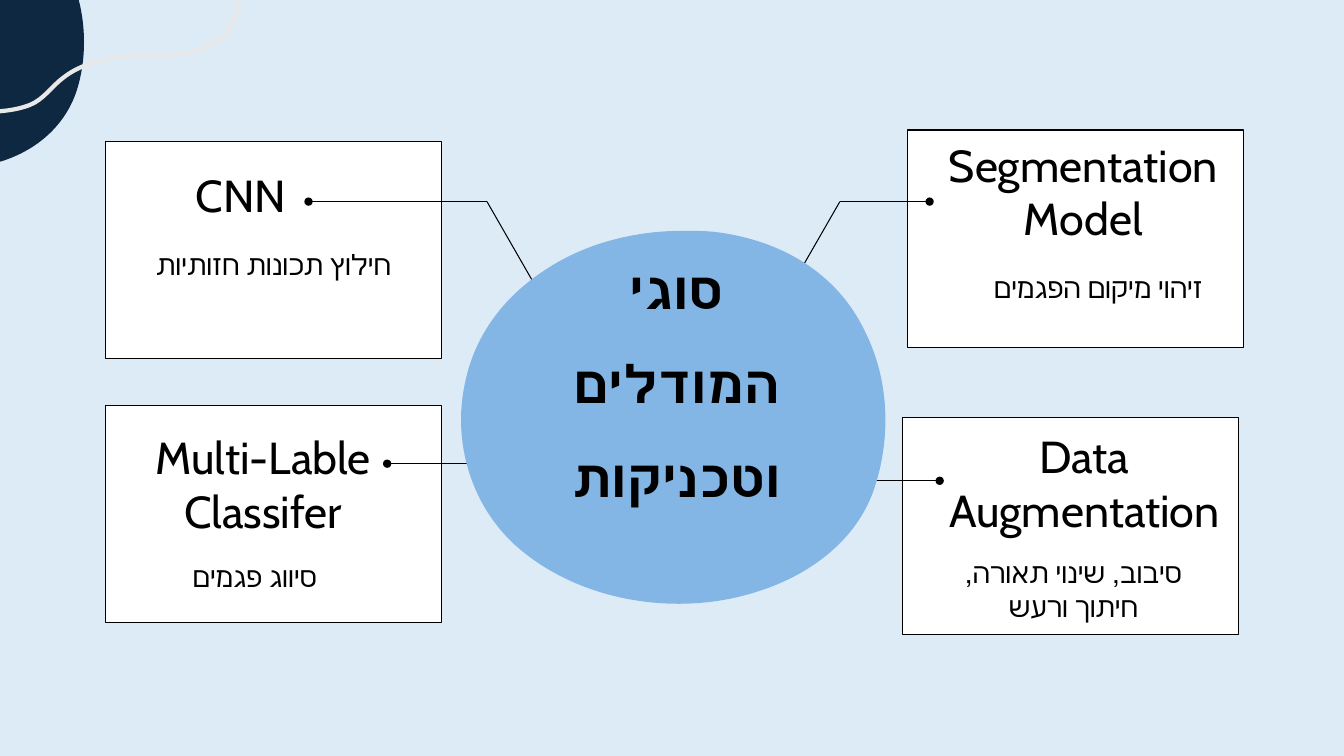
from dataclasses import dataclass

from lxml.etree import Element, SubElement
from pptx import Presentation
from pptx.dml.color import RGBColor
from pptx.enum.shapes import MSO_CONNECTOR, MSO_SHAPE
from pptx.enum.text import MSO_ANCHOR, MSO_AUTO_SIZE, PP_ALIGN
from pptx.oxml.ns import qn
from pptx.util import Emu, Pt

PX = 9144  # 100 px to the inch
CARD_W, CARD_H = 333, 216
INSET = 13
LEFT, CENTER, RIGHT = PP_ALIGN.LEFT, PP_ALIGN.CENTER, PP_ALIGN.RIGHT


@dataclass(frozen=True)
class Theme:
    font: str = "Cabin"
    background: str = "DDEBF7"
    navy: str = "0E2841"
    squiggle: str = "E8E8E8"
    hub: str = "83B6E5"
    card: str = "FFFFFF"
    ink: str = "000000"
    hub_pt: float = 37.3
    heading_pt: float = 32
    detail_pt: float = 20
    hairline_pt: float = 0.75
    squiggle_pt: float = 3


def rgb(value):
    return RGBColor.from_string(value)


def px(*lengths):
    return [Emu(n * PX) for n in lengths]


def bend(sp):
    """Turn each three line segments of a freeform into one cubic curve."""
    path = next(sp._element.iter(qn("a:path")))
    segments = path.findall(qn("a:lnTo"))
    for i in range(0, len(segments), 3):
        cubic = Element(qn("a:cubicBezTo"))
        segments[i].addprevious(cubic)
        for segment in segments[i:i + 3]:
            cubic.append(segment[0])
            path.remove(segment)


class SlideBuilder:
    def __init__(self, slide, theme):
        self.s, self.theme = slide, theme
        fill = slide.background.fill
        fill.solid()
        fill.fore_color.rgb = rgb(theme.background)

    def style(self, sp, fill=None, line=None, width=0):
        sp.shadow.inherit = False
        if fill:
            sp.fill.solid()
            sp.fill.fore_color.rgb = rgb(fill)
        else:
            sp.fill.background()
        if line:
            sp.line.color.rgb = rgb(line)
            sp.line.width = Pt(width)
        else:
            sp.line.fill.background()

    def curve(self, points, close=True, **look):
        """Draw a chain of cubic curves: a start point, then three points per curve."""
        start, *rest = points
        builder = self.s.shapes.build_freeform(*start, scale=PX)
        builder.add_line_segments(rest, close=close)
        sp = builder.convert_to_shape()
        bend(sp)
        self.style(sp, **look)

    def card(self, x, y):
        sp = self.s.shapes.add_shape(MSO_SHAPE.RECTANGLE, *px(x, y, CARD_W, CARD_H))
        self.style(sp, self.theme.card, self.theme.ink, self.theme.hairline_pt)

    def leader(self, *points):
        """Draw a thin line through the points, with a dot at the first."""
        for i, (start, end) in enumerate(zip(points, points[1:])):
            line = self.s.shapes.add_connector(MSO_CONNECTOR.STRAIGHT, *px(*start, *end))
            line.line.color.rgb = rgb(self.theme.ink)
            line.line.width = Pt(self.theme.hairline_pt)
            if i == 0:
                SubElement(line.line._get_or_add_ln(), qn("a:headEnd"), type="oval")
            SubElement(line._element.spPr, qn("a:effectLst"))

    def fill_text(self, sp, text, size, align, anchor, rtl=True, bold=False, spacing=None):
        tf = sp.text_frame
        tf.text = text
        tf.word_wrap = True
        tf.auto_size = MSO_AUTO_SIZE.NONE
        tf.vertical_anchor = anchor
        tf.margin_left = tf.margin_top = tf.margin_right = tf.margin_bottom = Emu(INSET * PX)
        p = tf.paragraphs[0]
        p.alignment = align
        p.line_spacing = spacing
        if rtl:
            p._p.get_or_add_pPr().set("rtl", "1")
        font = p.runs[0].font
        font.name, font.size, font.bold = self.theme.font, Pt(size), bold
        font.color.rgb = rgb(self.theme.ink)

    def heading(self, text, box, align=CENTER):
        sp = self.s.shapes.add_textbox(*px(*box))
        self.fill_text(sp, text, self.theme.heading_pt, align, MSO_ANCHOR.BOTTOM)

    def detail(self, text, box, align, rtl=True):
        sp = self.s.shapes.add_textbox(*px(*box))
        self.fill_text(sp, text, self.theme.detail_pt, align, MSO_ANCHOR.TOP, rtl)

    def title(self, text, box):
        sp = self.s.shapes.title
        sp.left, sp.top, sp.width, sp.height = px(*box)
        self.fill_text(sp, text, self.theme.hub_pt, CENTER, MSO_ANCHOR.BOTTOM,
                       bold=True, spacing=1.5)
        self.s.shapes._spTree.append(sp._element)  # bring in front of the hub


CORNER_BLOB = [
    (-33, -87), (-60, -87), (-87, -78), (-110, -62), (-134, -44), (-152, -18), (-158, 17),
    (-165, 55), (-155, 97), (-130, 125), (-105, 151), (-70, 165), (-35, 165),
    (-20, 165), (-5, 163), (10, 157), (41, 145), (67, 121), (77, 87),
    (87, 53), (85, 14), (72, -19), (56, -58), (24, -80), (-15, -86),
    (-21, -86), (-27, -87), (-33, -87)]
SQUIGGLE = [
    (238, -12), (238, 6), (233, 27), (219, 38), (211, 44), (202, 48), (192, 51),
    (166, 59), (138, 52), (111, 58), (94, 61), (77, 66), (63, 77),
    (52, 85), (43, 99), (30, 104), (15, 110), (-2, 111), (-18, 111)]
HUB = [
    (677, 229), (630, 229), (583, 241), (545, 265), (503, 291), (471, 330), (461, 381),
    (449, 437), (466, 499), (510, 540), (553, 579), (613, 599), (673, 599),
    (700, 599), (726, 595), (751, 587), (805, 570), (850, 535), (867, 485),
    (884, 434), (882, 377), (858, 329), (831, 272), (776, 238), (708, 230),
    (698, 229), (688, 229), (677, 229)]
CARDS = [(105, 140), (105, 402), (900, 129), (895, 414)]
LEADERS = [
    [(306, 200), (483, 200), (572, 355)],
    [(922, 200), (833, 200), (744, 355)],
    [(384, 460), (505, 460)],
    [(932, 477), (868, 477)]]


def main():
    prs = Presentation()
    prs.slide_width, prs.slide_height = px(1333, 750)
    theme = Theme()
    b = SlideBuilder(prs.slides.add_slide(prs.slide_layouts[5]), theme)

    b.curve(CORNER_BLOB, fill=theme.navy)
    b.curve(SQUIGGLE, close=False, line=theme.squiggle, width=theme.squiggle_pt)
    for corner in CARDS:
        b.card(*corner)
    for points in LEADERS:
        b.leader(*points)
    b.curve(HUB, fill=theme.hub)
    b.title("סוגי המודלים וטכניקות", (511, 338, 320, 179))

    b.heading("CNN", (163, 152, 134, 81), RIGHT)
    b.detail("חילוץ תכונות חזותיות", (108, 233, 293, 85), RIGHT)
    b.heading("Multi-Lable Classifer", (123, 414, 276, 132))
    b.detail("סיווג פגמים", (178, 542, 191, 81), LEFT, rtl=False)
    b.heading("Segmentation Model", (924, 139, 301, 117))
    b.detail("זיהוי מיקום הפגמים", (939, 255, 267, 81), RIGHT)
    b.heading("Data Augmentation", (916, 376, 319, 169))
    b.detail("סיבוב, שינוי תאורה, חיתוך ורעש", (935, 538, 259, 81), CENTER)

    prs.save("out.pptx")


if __name__ == "__main__":
    main()
